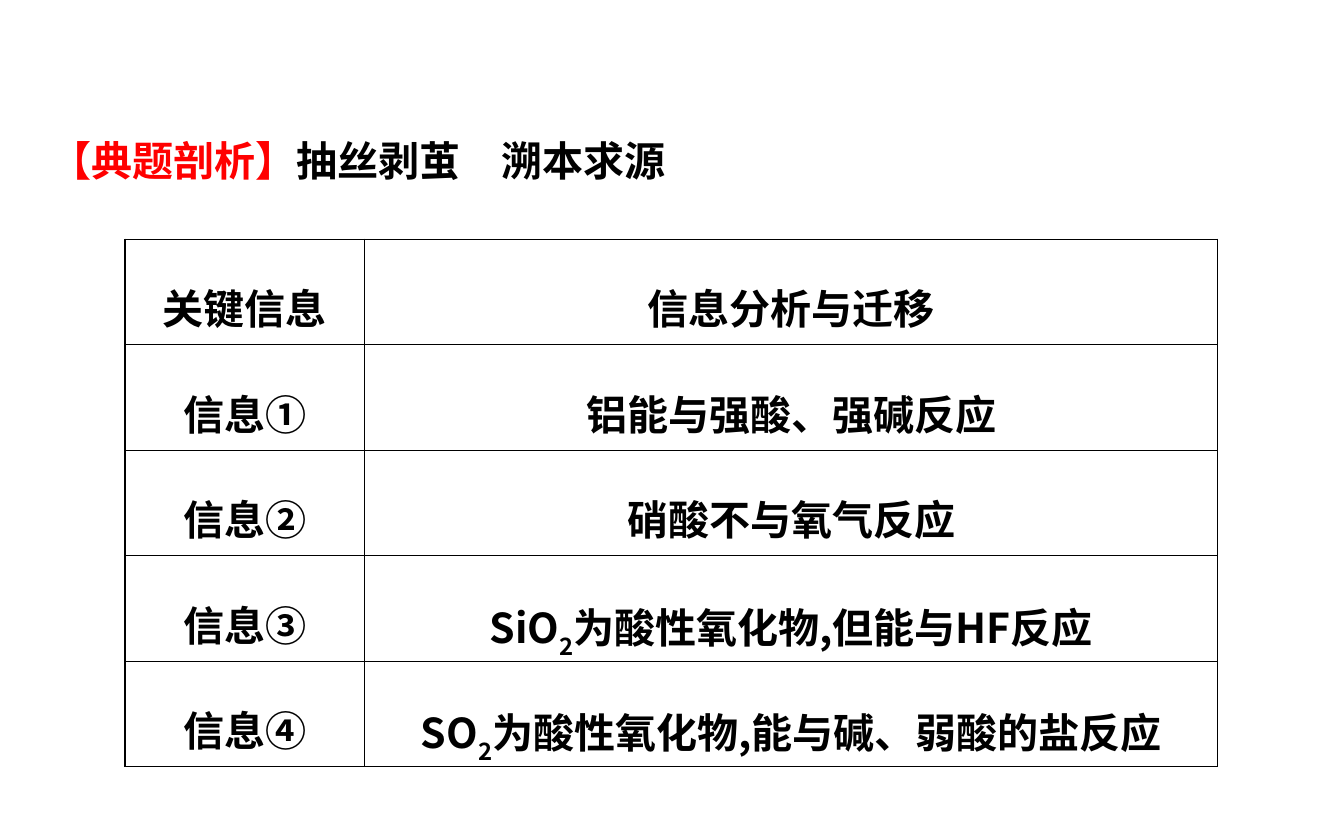
from lxml import etree
from pptx import Presentation
from pptx.dml.color import RGBColor
from pptx.enum import text as t
from pptx.oxml import ns
from pptx.util import Pt

FACE = "Noto Sans CJK SC"


def style(run, color="000000"):
    font = run.font
    font.size, font.bold = Pt(22), True
    font.color.rgb = RGBColor.from_string(color)
    font.name = FACE
    etree.SubElement(run._r.get_or_add_rPr(), ns.qn("a:ea"), typeface=FACE)


def edge(cell, side, width):
    """Draw one black border; side is L, R, T or B, called in that order."""
    props = cell._tc.get_or_add_tcPr()
    line = etree.SubElement(props, ns.qn("a:ln" + side), w=str(Pt(width)))
    fill = etree.SubElement(line, ns.qn("a:solidFill"))
    etree.SubElement(fill, ns.qn("a:srgbClr"), val="000000")


deck = Presentation()
deck.slide_width, deck.slide_height = Pt(720), Pt(450)
slide = deck.slides.add_slide(deck.slide_layouts[6])

# Heading
frame = slide.shapes.add_textbox(Pt(20.2), Pt(48.2), Pt(679), Pt(54.7)).text_frame
frame.word_wrap = True
para = frame.paragraphs[0]
para.line_spacing = 1.8
for words, color in (("【典题剖析】", "FF0000"), ("抽丝剥茧　溯本求源", "000000")):
    run = para.add_run()
    run.text = words
    style(run, color)

# Table of key facts
rows = [
    ("关键信息", "信息分析与迁移"),
    ("信息①", "铝能与强酸、强碱反应"),
    ("信息②", "硝酸不与氧气反应"),
    ("信息③", "SiO2为酸性氧化物,但能与HF反应"),
    ("信息④", "SO2为酸性氧化物,能与碱、弱酸的盐反应"),
]
last = len(rows) - 1
high = 56.5
table = slide.shapes.add_table(
    len(rows), 2, Pt(67), Pt(128.2), Pt(585.4), Pt(high * len(rows))).table
table.first_row = table.horz_banding = False
for col, width in zip(table.columns, (128.2, 457.2)):
    col.width = Pt(width)

for i, row in enumerate(rows):
    table.rows[i].height = Pt(high)
    for j, words in enumerate(row):
        cell = table.cell(i, j)
        cell.vertical_anchor = t.MSO_ANCHOR.MIDDLE
        outer = {"L": j == 0, "R": j == 1, "T": i == 0, "B": i == last}
        for side, rim in outer.items():
            edge(cell, side, 0.75 if rim else 0.45)
        cell.fill.background()
        para = cell.text_frame.paragraphs[0]
        para.alignment = t.PP_ALIGN.CENTER
        para.line_spacing = 1.5
        for part in filter(None, words.partition("2")):
            run = para.add_run()
            run.text = part
            style(run)
            if part == "2":
                run._r.get_or_add_rPr().set("baseline", "-30000")

deck.save("out.pptx")
